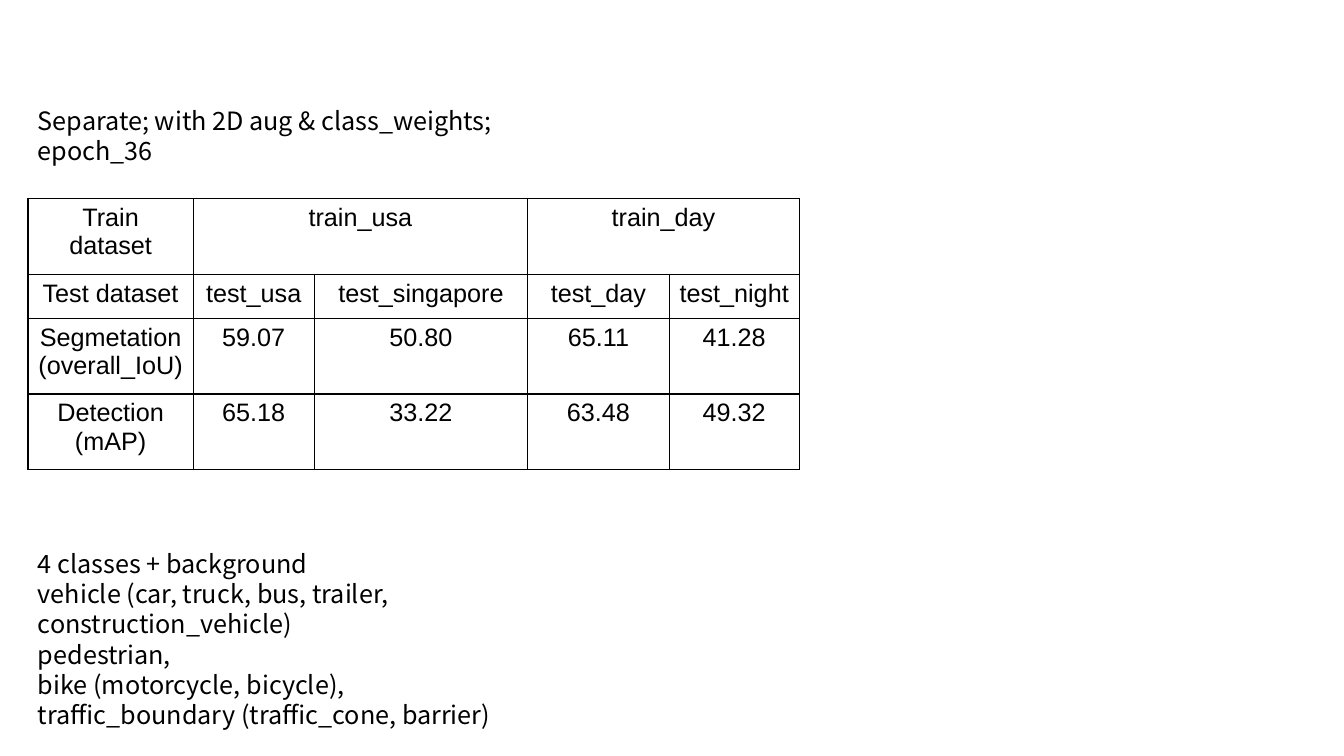
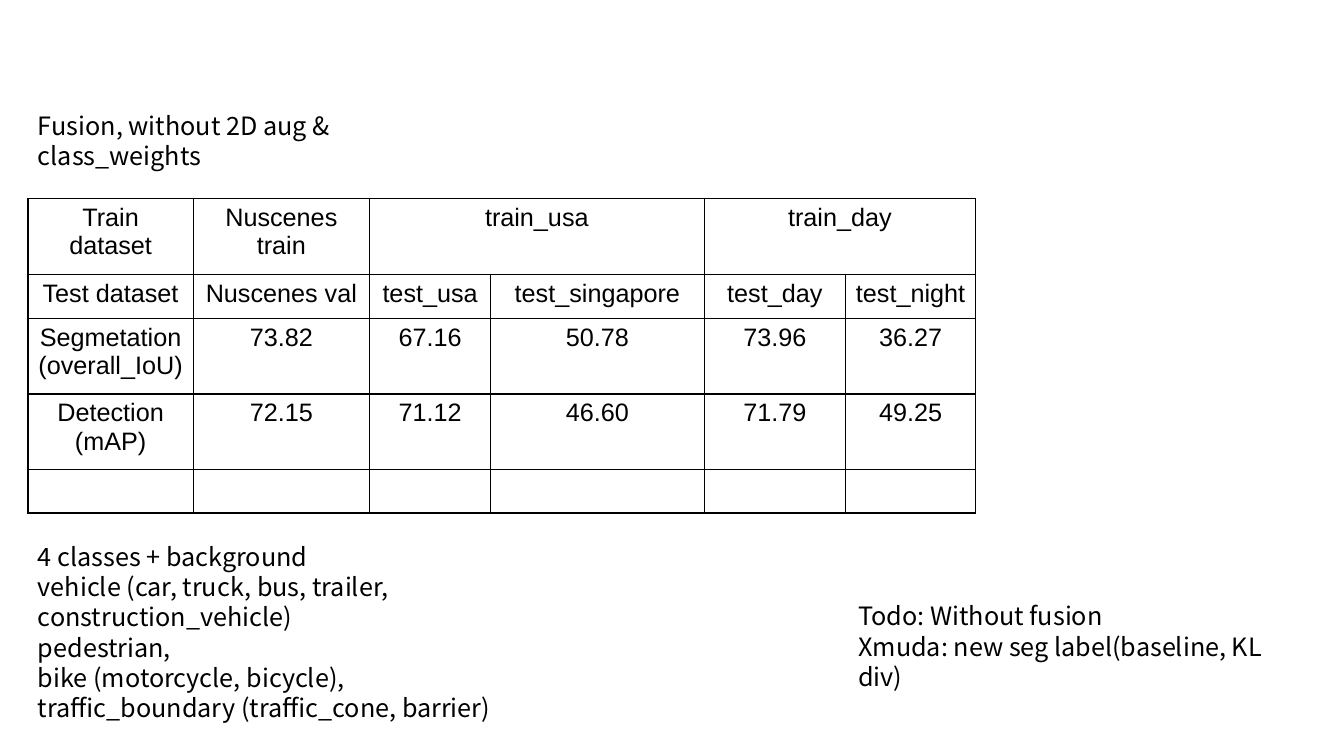
from lxml import etree
from pptx import Presentation
from pptx.dml.color import RGBColor
from pptx.enum.text import MSO_AUTO_SIZE, PP_ALIGN
from pptx.oxml.ns import qn
from pptx.util import Pt

CENTER = PP_ALIGN.CENTER
GROW = MSO_AUTO_SIZE.SHAPE_TO_FIT_TEXT
BLACK = "000000"
LEFT = 20
TABLE_TOP = 142
BORDER_WIDTH = 1
BORDER_SIDES = ("a:lnL", "a:lnR", "a:lnT", "a:lnB")
TABLE_FONT = {"name": "Arial", "size": Pt(18)}
NOTE_FONT = {"name": "Noto Sans CJK SC", "size": Pt(18)}
NOTE_LINE = 21.6

LABEL_WIDTH = 118
NUSCENES_WIDTH = 126
SPLIT_WIDTHS = [86.5, 152.5, 101, 93]
ROW_HEIGHTS = [54, 31.5, 54, 54]
EMPTY_ROW_HEIGHT = 31

LABELS = ["Train dataset", "Test dataset", "Segmetation\n(overall_IoU)", "Detection\n(mAP)"]
SPLIT_HEADS = [
    ["train_usa", None, "train_day", None],
    ["test_usa", "test_singapore", "test_day", "test_night"],
]
CLASSES = [
    "4 classes + background",
    "vehicle (car, truck, bus, trailer, construction_vehicle)",
    "pedestrian,",
    "bike (motorcycle, bicycle),",
    "traffic_boundary (traffic_cone, barrier)",
]


def color(value):
    """Turn a hex string into a colour."""
    return RGBColor.from_string(value)


def format_text(text_frame, lines, font_format, paragraph_format):
    """Write one paragraph per line and apply the given formats."""
    text_frame.text = "\n".join(lines)
    for paragraph in text_frame.paragraphs:
        for name, value in paragraph_format.items():
            setattr(paragraph, name, value)
        for name, value in font_format.items():
            setattr(paragraph.font, name, value)
        paragraph.font.color.rgb = color(BLACK)


def add_note(slide, box, lines):
    """Place a wrapped text box in the given box."""
    shape = slide.shapes.add_textbox(*map(Pt, box))
    text_frame = shape.text_frame
    text_frame.word_wrap = True
    text_frame.auto_size = GROW
    format_text(text_frame, lines, NOTE_FONT, {"line_spacing": Pt(NOTE_LINE)})


def outline_cell(cell):
    """Draw a solid line on each side of a cell without a fill."""
    properties = cell._tc.get_or_add_tcPr()
    for side in BORDER_SIDES:
        line = etree.SubElement(properties, qn(side), w=str(Pt(BORDER_WIDTH)))
        fill = etree.SubElement(line, qn("a:solidFill"))
        etree.SubElement(fill, qn("a:srgbClr"), val=BLACK)
    cell.fill.background()


def add_results(slide, left, top, widths, heights, rows):
    """Build a results table, where None continues the cell on its left."""
    frame = slide.shapes.add_table(
        len(rows), len(widths), Pt(left), Pt(top), Pt(sum(widths)), Pt(sum(heights))
    )
    table = frame.table
    table.first_row = table.horz_banding = False
    for column, width in zip(table.columns, widths):
        column.width = Pt(width)
    for row, height in zip(table.rows, heights):
        row.height = Pt(height)
    for row_index, texts in enumerate(rows):
        for column_index, text in enumerate(texts):
            cell = table.cell(row_index, column_index)
            outline_cell(cell)
            format_text(
                cell.text_frame, (text or "").split("\n"), TABLE_FONT, {"alignment": CENTER}
            )
            if text is None:
                table.cell(row_index, column_index - 1).merge(cell)


def add_separate_slide(slide):
    """Show the results of separate training."""
    scores = [["59.07", "50.80", "65.11", "41.28"], ["65.18", "33.22", "63.48", "49.32"]]
    rows = [[label] + values for label, values in zip(LABELS, SPLIT_HEADS + scores)]
    add_results(slide, LEFT, TABLE_TOP, [LABEL_WIDTH] + SPLIT_WIDTHS, ROW_HEIGHTS, rows)
    add_note(slide, (LEFT, 388, 412, 117), CLASSES)
    add_note(slide, (LEFT, 71.5, 397.5, 29), ["Separate; with 2D aug & class_weights; epoch_36"])


def add_fusion_slide(slide):
    """Show the results of fusion and the open tasks."""
    scores = [["67.16", "50.78", "73.96", "36.27"], ["71.12", "46.60", "71.79", "49.25"]]
    nuscenes = ["Nuscenes train", "Nuscenes val", "73.82", "72.15"]
    rows = [
        [label, whole] + values
        for label, whole, values in zip(LABELS, nuscenes, SPLIT_HEADS + scores)
    ]
    widths = [LABEL_WIDTH, NUSCENES_WIDTH] + SPLIT_WIDTHS
    rows.append([""] * len(widths))
    add_results(slide, LEFT, TABLE_TOP, widths, ROW_HEIGHTS + [EMPTY_ROW_HEIGHT], rows)
    add_note(slide, (LEFT, 383, 412, 117), CLASSES)
    add_note(
        slide,
        (606, 425.5, 314.5, 51),
        ["Todo: Without fusion", "Xmuda: new seg label(baseline, KL div)"],
    )
    add_note(slide, (LEFT, 75, 322, 29), ["Fusion, without 2D aug & class_weights"])


def main():
    """Build and save the presentation."""
    presentation = Presentation()
    presentation.slide_width = Pt(960)
    presentation.slide_height = Pt(540)
    blank = presentation.slide_layouts[6]
    for build in (add_separate_slide, add_fusion_slide):
        build(presentation.slides.add_slide(blank))
    presentation.save("out.pptx")


if __name__ == "__main__":
    main()
